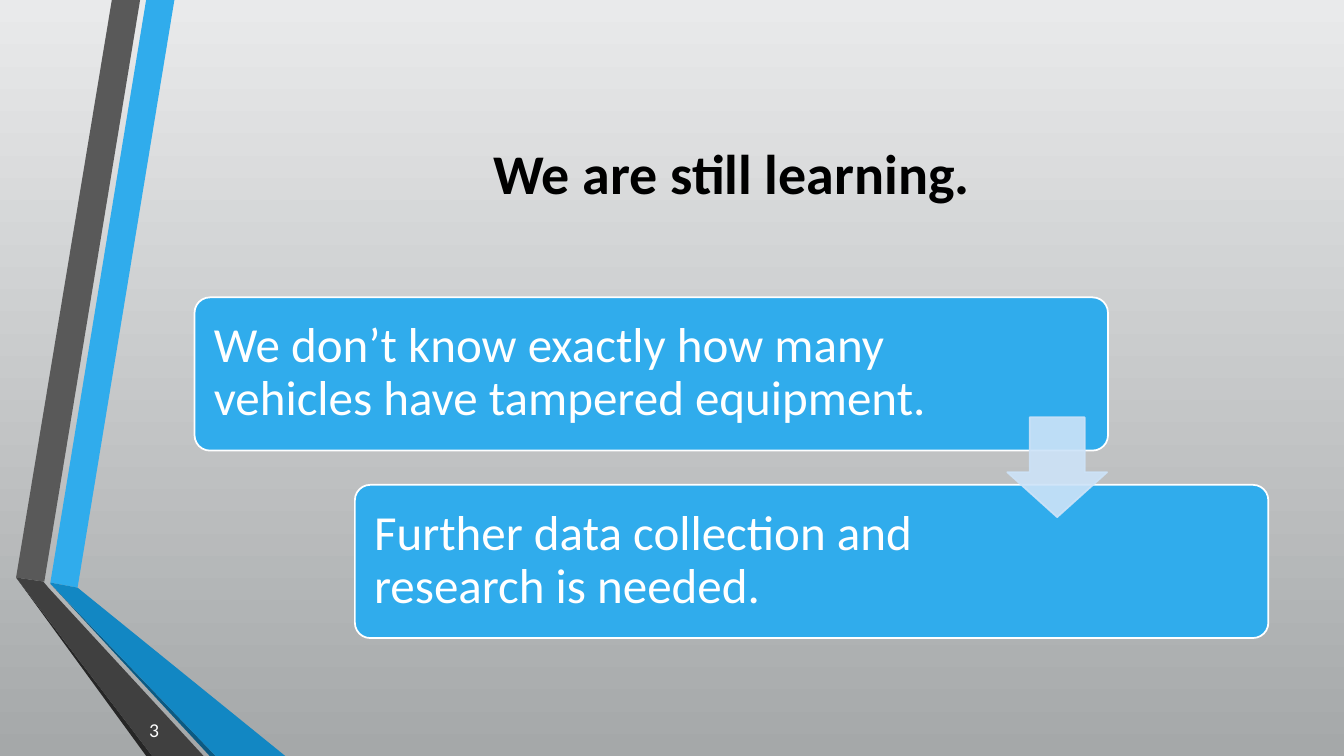
"""Build the slide on what is still unknown about tampered vehicles."""
from lxml import etree
from pptx import Presentation
from pptx.dml.color import RGBColor
from pptx.enum.shapes import MSO_SHAPE as SHAPE
from pptx.enum.text import MSO_ANCHOR as ANCHOR, MSO_AUTO_SIZE as FIT, PP_ALIGN as ALIGN
from pptx.oxml.ns import qn
from pptx.util import Inches, Pt

BLUE = RGBColor(0x30, 0xAC, 0xEC)
DEEP = RGBColor(0x12, 0x87, 0xC3)
NAVY = RGBColor(0x0C, 0x5A, 0x82)
PALE = RGBColor(0xCD, 0xE3, 0xF8)
GRAY = RGBColor(0x59, 0x59, 0x59)
DARK = RGBColor(0x40, 0x40, 0x40)
COAL = RGBColor(0x26, 0x26, 0x26)
BLACK = RGBColor(0, 0, 0)
WHITE = RGBColor(0xFF, 0xFF, 0xFF)
TOP = RGBColor(0xE9, 0xEA, 0xEB)
BASE = RGBColor(0xA5, 0xA8, 0xA9)

BANDS = [
    (BLUE, [(0.5, 5.78), (0.77, 5.83), (1.73, 0), (1.45, 0)]),
    (GRAY, [(1.39, 0), (1.11, 0), (0.16, 5.73), (0.44, 5.77)]),
    (COAL, [(0.16, 5.73), (1.45, 7.5), (1.51, 7.5)]),
    (NAVY, [(0.5, 5.79), (2.08, 7.5), (2.14, 7.5)]),
    (DEEP, [(0.5, 5.79), (2.14, 7.5), (2.83, 7.5), (0.77, 5.83), (0.5, 5.78)]),
    (DARK, [(2.02, 7.5), (0.48, 5.83), (0.43, 5.77), (0.16, 5.73), (1.51, 7.5)]),
]
STEPS = [
    ("We don’t know exactly how many vehicles have tampered equipment.", 7.48),
    ("Further data collection and research is needed.", 6.38),
]
LEFT, FIRST = 1.93, 2.95
SHIFT, DROP = 1.59, 1.86


def write(frame, text, size, color, bold=False, align=ALIGN.LEFT, space=None, inset=None):
    frame.word_wrap = True
    frame.auto_size = FIT.NONE
    frame.vertical_anchor = ANCHOR.MIDDLE
    if inset is not None:
        frame.margin_left = frame.margin_right = Inches(inset)
        frame.margin_top = frame.margin_bottom = Inches(inset)
    para = frame.paragraphs[0]
    para.alignment = align
    para.line_spacing = space
    run = para.add_run()
    run.text = text
    font = run.font
    font.name, font.size, font.bold = "Calibri", Pt(size), bold
    font.color.rgb = color


def place(item, left, top, width, height):
    item.left, item.top = Inches(left), Inches(top)
    item.width, item.height = Inches(width), Inches(height)


def add_text(slide, box, text, **format):
    label = slide.shapes.add_textbox(*map(Inches, box))
    write(label.text_frame, text, **format)


def paint(shape, fill, line=None):
    shape.shadow.inherit = False
    shape.fill.solid()
    shape.fill.fore_color.rgb = fill
    if line is None:
        shape.line.fill.background()
    else:
        shape.line.color.rgb = line
        shape.line.width = Pt(1.25)


def add_shape(slide, kind, box, fill, line, ratios):
    shape = slide.shapes.add_shape(kind, *map(Inches, box))
    for spot, ratio in enumerate(ratios):
        shape.adjustments[spot] = ratio
    paint(shape, fill, line)
    return shape


def add_band(slide, color, points):
    start, *rest = [(Inches(x), Inches(y)) for x, y in points]
    pen = slide.shapes.build_freeform(*start)
    pen.add_line_segments(rest, close=True)
    paint(pen.convert_to_shape(), color)


def fade(shape, percent):
    for tint in shape.element.spPr.iter(qn("a:srgbClr")):
        etree.SubElement(tint, qn("a:alpha"), val=str(percent * 1000))


def shade(slide):
    fill = slide.background.fill
    fill.gradient()
    fill.gradient_angle = 270
    for stop, color in zip(fill.gradient_stops, (TOP, BASE)):
        stop.color.rgb = color


def add_step(slide, rank, text, width):
    left, top = LEFT + rank * SHIFT, FIRST + rank * DROP
    add_shape(slide, SHAPE.ROUNDED_RECTANGLE, (left, top, 9.06, 1.52), BLUE, WHITE, [0.1])
    add_text(slide, (left + 0.04, top + 0.04, width, 1.43), text,
             size=35, color=WHITE, space=0.9, inset=0.15)


def main():
    deck = Presentation()
    deck.slide_width, deck.slide_height = Inches(13.33), Inches(7.5)
    slide = deck.slides.add_slide(deck.slide_layouts[5])
    shade(slide)
    for color, points in BANDS:
        add_band(slide, color, points)
    title = slide.shapes.title
    place(title, LEFT, 0.75, 10.65, 1.92)
    write(title.text_frame, "We are still learning.", size=40, color=BLACK,
          bold=True, align=ALIGN.CENTER)
    for rank, (text, width) in enumerate(STEPS):
        add_step(slide, rank, text, width)
    arrow = add_shape(slide, SHAPE.DOWN_ARROW, (9.99, 4.14, 0.99, 0.99), PALE, PALE, [0.55, 0.45])
    fade(arrow, 90)
    add_text(slide, (1.38, 7.04, 0.85, 0.4), "3", size=14, color=WHITE)
    deck.save("out.pptx")


if __name__ == "__main__":
    main()
